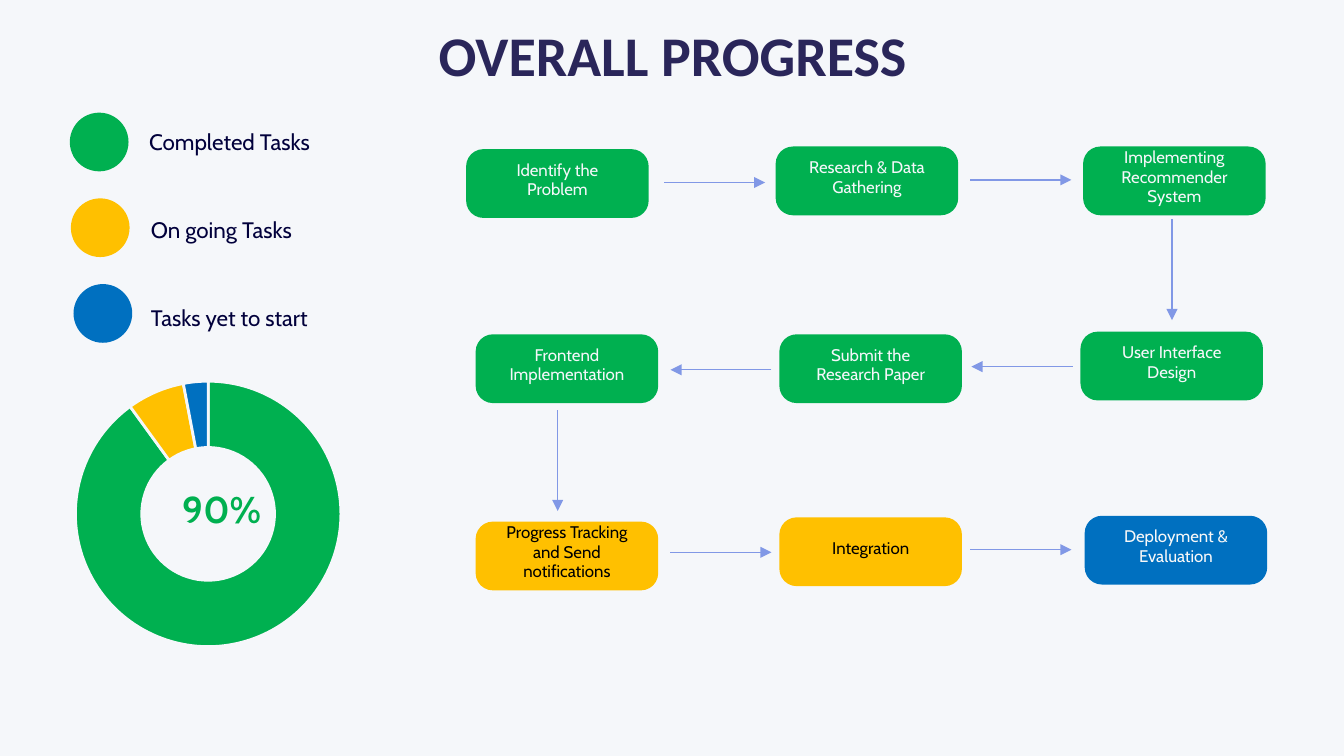
from lxml import etree
from pptx import Presentation
from pptx.chart.data import CategoryChartData
from pptx.dml.color import RGBColor
from pptx.enum.chart import XL_CHART_TYPE
from pptx.enum.shapes import MSO_CONNECTOR, MSO_SHAPE
from pptx.enum.text import MSO_ANCHOR, PP_ALIGN
from pptx.oxml import parse_xml
from pptx.oxml.ns import nsdecls, qn
from pptx.util import Cm, Pt

DONUT = XL_CHART_TYPE.DOUGHNUT
LINE = MSO_CONNECTOR.STRAIGHT
OVAL, ROUND = MSO_SHAPE.OVAL, MSO_SHAPE.ROUNDED_RECTANGLE
TOP, MID = MSO_ANCHOR.TOP, MSO_ANCHOR.MIDDLE
LEFT, CENTER = PP_ALIGN.LEFT, PP_ALIGN.CENTER

COLORS = {
    "back": "F5F7FA", "title": "2A265A", "label": "01003B", "arrow": "8198E6",
    "done": "00B050", "going": "FFC000", "todo": "0070C0",
    "light": "F5F7FA", "dark": "000000", "pale": "F8F8F8",
}
# Text colour of a step in each state
INK = {"done": "light", "going": "dark", "todo": "pale"}

# State, left edge of dot, left edge of label, wording
LEGEND = [
    ("done", 1.32, 2.82, "Completed Tasks"),
    ("going", 1.34, 2.85, "On going Tasks"),
    ("todo", 1.39, 2.85, "Tasks yet to start"),
]
SHARES = [("done", 90), ("going", 7), ("todo", 3)]

# Left, top, state, wording
STEPS = [
    (8.81, 2.82, "done", "Identify the Problem"),
    (14.66, 2.77, "done", "Research & Data Gathering"),
    (20.47, 2.77, "done", "Implementing Recommender System"),
    (20.42, 6.27, "done", "User Interface Design"),
    (14.73, 6.32, "done", "Submit the Research Paper"),
    (8.99, 6.32, "done", "Frontend Implementation"),
    (8.99, 9.86, "going", "Progress Tracking and Send notifications"),
    (14.73, 9.78, "going", "Integration"),
    (20.5, 9.75, "todo", "Deployment & Evaluation"),
]

# Start of each arrow and its direction
REACH = 1.91
ARROWS = [
    (12.55, 3.45, 1, 0), (18.34, 3.4, 1, 0), (22.15, 4.14, 0, 1),
    (20.27, 6.93, -1, 0), (14.58, 6.99, -1, 0), (10.54, 7.75, 0, 1),
    (12.67, 10.44, 1, 0), (18.34, 10.39, 1, 0),
]


def color(name):
    return RGBColor.from_string(COLORS[name])


def write(shape, text, size, ink, align=LEFT, pitch=None, bold=False,
          face="Cabin", pads=(0, 0, 0, 0), anchor=TOP):
    frame = shape.text_frame
    frame.word_wrap = True
    frame.vertical_anchor = anchor
    (frame.margin_left, frame.margin_top,
     frame.margin_right, frame.margin_bottom) = [Cm(pad) for pad in pads]
    frame.text = text
    para = frame.paragraphs[0]
    para.alignment = align
    if pitch:
        para.line_spacing = Pt(pitch)
    font = para.runs[0].font
    font.name, font.size, font.bold = face, Pt(size), bold
    font.color.rgb = color(ink)


def add_title(slide, text):
    title = slide.shapes.title
    title.left, title.top = Cm(2.01), Cm(0.13)
    title.width, title.height = Cm(21.41), Cm(1.6)
    write(title, text, 30, "title", CENTER, bold=True, face="Calibri",
          pads=(0.25,) * 4)


def add_label(slide, left, top, width, height, text, size, ink, **style):
    box = slide.shapes.add_textbox(Cm(left), Cm(top), Cm(width), Cm(height))
    write(box, text, size, ink, pitch=16.8, **style)


def add_form(slide, kind, left, top, width, height, fill):
    form = slide.shapes.add_shape(
        kind, Cm(left), Cm(top), Cm(width), Cm(height))
    form.shadow.inherit = False
    form.fill.solid()
    form.fill.fore_color.rgb = color(fill)
    form.line.fill.background()
    return form


def add_step(slide, left, top, state, text):
    form = add_form(slide, ROUND, left, top, 3.45, 1.3, state)
    form.adjustments[0] = 0.25
    # The bottom inset lifts the text slightly above the middle
    write(form, text, 9, INK[state], CENTER, 10.5,
          pads=(0.36, 0, 0.36, 0.15), anchor=MID)


def add_arrow(slide, left, top, across, down):
    arrow = slide.shapes.add_connector(
        LINE, Cm(left), Cm(top),
        Cm(left + across * REACH), Cm(top + down * REACH))
    arrow.line.color.rgb = color("arrow")
    arrow.line.width = Pt(0.75)
    etree.SubElement(arrow.line._get_or_add_ln(), qn("a:tailEnd"),
                     type="triangle")
    etree.SubElement(arrow._element.spPr, qn("a:effectLst"))


def add_donut(slide):
    data = CategoryChartData()
    data.categories = ["1", "2", "3"]
    data.add_series("Series 1", [value for _, value in SHARES])
    chart = slide.shapes.add_chart(
        DONUT, Cm(0.94), Cm(6.86), Cm(6.05), Cm(5.77), data).chart
    chart.has_legend = chart.has_title = False
    chart.font.name, chart.font.size = "Arial", Pt(10)
    chart.font.color.rgb = color("title")
    plot = chart.plots[0]
    plot.vary_by_categories = True
    for i, (state, _) in enumerate(SHARES):
        look = plot.series[0].points[i].format
        look.fill.solid()
        look.fill.fore_color.rgb = color(state)
        look.line.color.rgb = color("back")
        look.line.width = Pt(1.5)

    # Hole size and place of the ring
    area = chart._chartSpace.find(".//" + qn("c:plotArea"))
    area.find(".//" + qn("c:holeSize")).set("val", "68")
    old = area.find(qn("c:layout"))
    if old is not None:
        area.remove(old)
    area.insert(0, parse_xml(
        f'<c:layout {nsdecls("c")}><c:manualLayout>'
        '<c:layoutTarget val="inner"/>'
        '<c:xMode val="edge"/><c:yMode val="edge"/>'
        '<c:x val="0.08"/><c:y val="0.06"/>'
        '<c:w val="0.83"/><c:h val="0.87"/>'
        '</c:manualLayout></c:layout>'))


def main():
    deck = Presentation()
    deck.slide_width, deck.slide_height = Cm(25.4), Cm(14.29)
    slide = deck.slides.add_slide(deck.slide_layouts[5])
    slide.background.fill.solid()
    slide.background.fill.fore_color.rgb = color("back")
    add_title(slide, "OVERALL PROGRESS")

    # Legend
    for row, (state, dot, left, text) in enumerate(LEGEND):
        add_form(slide, OVAL, dot, 2.13 + 1.62 * row, 1.11, 1.11, state)
        add_label(slide, left, 2.34 + 1.66 * row, 3.96, 0.56,
                  text, 12, "label")

    # Share of finished work
    add_donut(slide)
    add_label(slide, 3.2, 9.45, 1.98, 0.63, "90%", 20, "done",
              align=CENTER, bold=True)

    # Flow of steps
    for step in STEPS:
        add_step(slide, *step)
    for arrow in ARROWS:
        add_arrow(slide, *arrow)

    deck.save("out.pptx")


if __name__ == "__main__":
    main()
